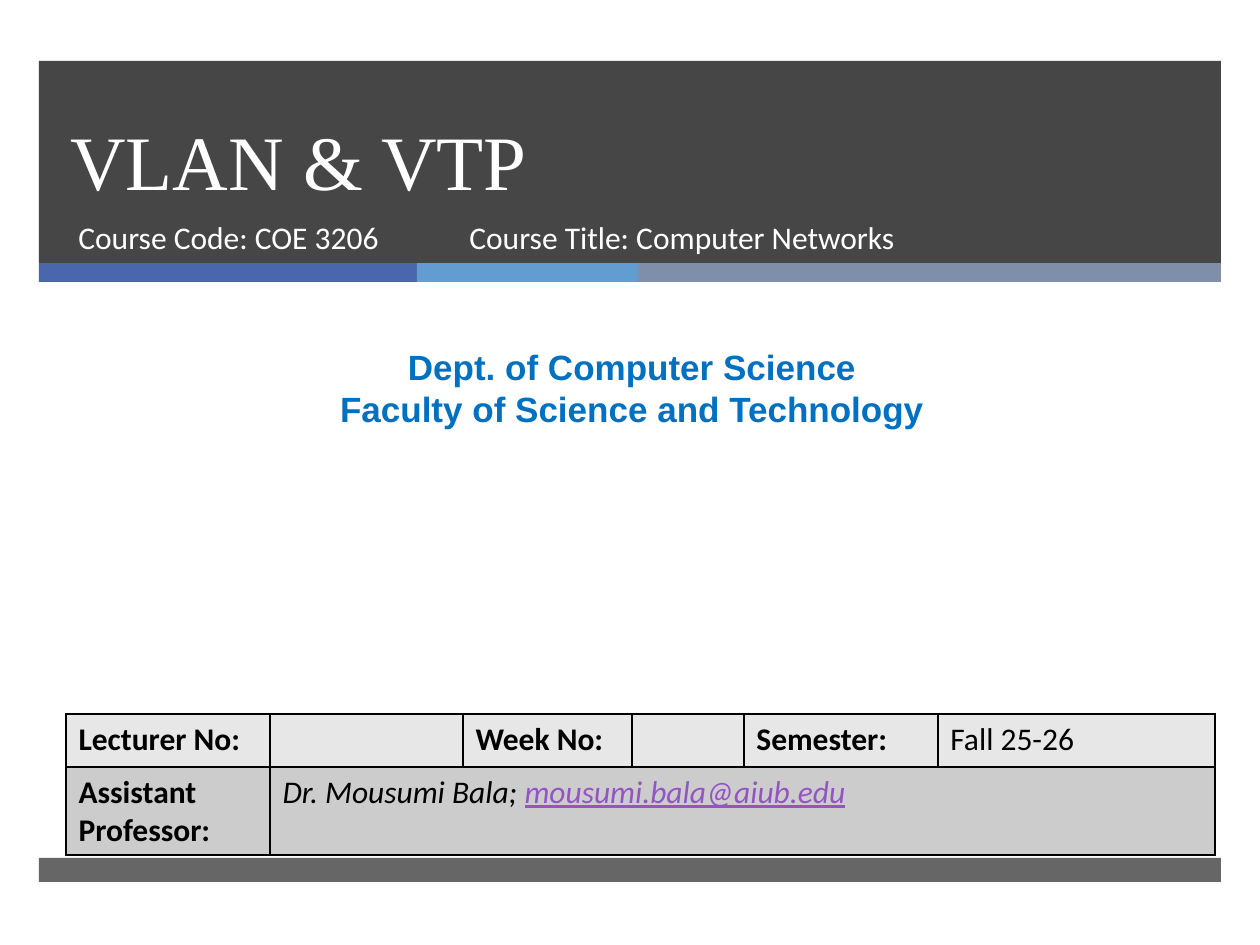
from pptx import Presentation
from pptx.dml.color import RGBColor
from pptx.enum.shapes import MSO_SHAPE as Shape
from pptx.enum.text import MSO_ANCHOR as Anchor, PP_ALIGN as Align
from pptx.oxml.ns import qn
from pptx.util import Pt
from lxml.etree import SubElement

PX = 914400 // 126  # EMU per px

THEME = dict(
    dark="262626", white="FFFFFF", black="000000", dept="0070C0", link="9454C3",
    stripes=("4A66AC", "629DD1", "7F8FA9"), rows=("E7E7E7", "CCCCCC"),
    title=dict(name="Times New Roman", size=Pt(44)),
    body=dict(name="Calibri", size=Pt(18)),
    heading=dict(name="Arial", size=Pt(20), bold=True),
)

# Content: (lines, box, font, colour, paragraph format, anchor)
TEXTS = [
    (["VLAN & VTP"], (58, 62, 1076, 150), "title", "white",
     dict(line_spacing=Pt(46)), Anchor.BOTTOM),
    (["Course Code: COE 3206"], (66, 212, 384, 67), "body", "white", {}, Anchor.TOP),
    (["Dept. of Computer Science", "Faculty of Science and Technology"],
     (10, 339, 1244, 97), "heading", "dept", dict(alignment=Align.CENTER), Anchor.TOP),
    (["Course Title: Computer Networks"], (457, 212, 573, 67), "body", "white",
     {}, Anchor.TOP),
]

# Each cell is a list of (text, font format, colour) runs
BOLD, ITALIC = dict(bold=True), dict(italic=True)
ROWS = [
    [[("Lecturer No:", BOLD, "black")], [], [("Week No:", BOLD, "black")], [],
     [("Semester:", BOLD, "black")], [("Fall 25-26", {}, "black")]],
    [[("Assistant Professor:", BOLD, "black")],
     [("Dr. Mousumi Bala; ", ITALIC, "black"),
      ("mousumi.bala@aiub.edu", dict(italic=True, underline=True), "link")],
     [], [], [], []],
]
TABLE_LEFT, TABLE_TOP = 66, 714
COL_WIDTHS, ROW_HEIGHTS = (204, 193, 169, 112, 194, 277), (53, 88)

# Bands share one left edge and width
LEFT, WIDTH = 39, 1182
HEADER, FOOTER = (61, 202, 85), (858, 24, 70)  # top, height, opacity %
STRIPE_TOP, STRIPE_HEIGHT, STRIPE_WIDTHS = 263, 19, (378, 221, 583)


def emu(*lengths):
    return [n * PX for n in lengths]


def style(font, color, **values):
    for key, value in values.items():
        setattr(font, key, value)
    font.color.rgb = RGBColor.from_string(color)


def add_band(s, box, color, opacity=100):
    sp = s.shapes.add_shape(Shape.RECTANGLE, *emu(*box))
    sp.shadow.inherit = False
    sp.fill.solid()
    sp.fill.fore_color.rgb = RGBColor.from_string(color)
    sp.line.fill.background()
    if opacity < 100:
        clr = next(sp.fill._xPr.iter(qn("a:srgbClr")))
        SubElement(clr, qn("a:alpha"), val=str(opacity * 1000))


def add_text(s, lines, box, font, color, fmt, anchor):
    tf = s.shapes.add_textbox(*emu(*box)).text_frame
    tf.word_wrap, tf.vertical_anchor = True, anchor
    for i, line in enumerate(lines):
        p = tf.paragraphs[0] if i == 0 else tf.add_paragraph()
        for key, value in fmt.items():
            setattr(p, key, value)
        r = p.add_run()
        r.text = line
        style(r.font, THEME[color], **THEME[font])


def add_borders(cell):
    tcPr = cell._tc.get_or_add_tcPr()
    for i, side in enumerate(("a:lnL", "a:lnR", "a:lnT", "a:lnB")):
        ln = tcPr.makeelement(qn(side), {"w": str(Pt(1))})
        fill = SubElement(ln, qn("a:solidFill"))
        SubElement(fill, qn("a:srgbClr"), val=THEME["black"])
        tcPr.insert(i, ln)  # borders come before the fill


def add_info_table(s):
    box = (TABLE_LEFT, TABLE_TOP, sum(COL_WIDTHS), sum(ROW_HEIGHTS))
    table = s.shapes.add_table(len(ROWS), len(COL_WIDTHS), *emu(*box)).table
    for col, width in zip(table.columns, COL_WIDTHS):
        col.width = width * PX
    for row, height in zip(table.rows, ROW_HEIGHTS):
        row.height = height * PX
    table.cell(1, 1).merge(table.cell(1, len(COL_WIDTHS) - 1))
    for i, row in enumerate(ROWS):
        for j, runs in enumerate(row):
            cell = table.cell(i, j)
            cell.fill.solid()
            cell.fill.fore_color.rgb = RGBColor.from_string(THEME["rows"][i])
            add_borders(cell)
            p = cell.text_frame.paragraphs[0]
            for text, fmt, color in runs:
                r = p.add_run()
                r.text = text
                style(r.font, THEME[color], **{"bold": False, **THEME["body"], **fmt})


def main():
    prs = Presentation()
    prs.slide_width, prs.slide_height = emu(1260, 945)
    s = prs.slides.add_slide(prs.slide_layouts[6])

    # Header, stripes and footer
    for top, height, opacity in (HEADER, FOOTER):
        add_band(s, (LEFT, top, WIDTH, height), THEME["dark"], opacity)
    x = LEFT
    for width, color in zip(STRIPE_WIDTHS, THEME["stripes"]):
        add_band(s, (x, STRIPE_TOP, width, STRIPE_HEIGHT), color)
        x += width

    # Text and table
    for text in TEXTS:
        add_text(s, *text)
    add_info_table(s)
    prs.save("out.pptx")


if __name__ == "__main__":
    main()
